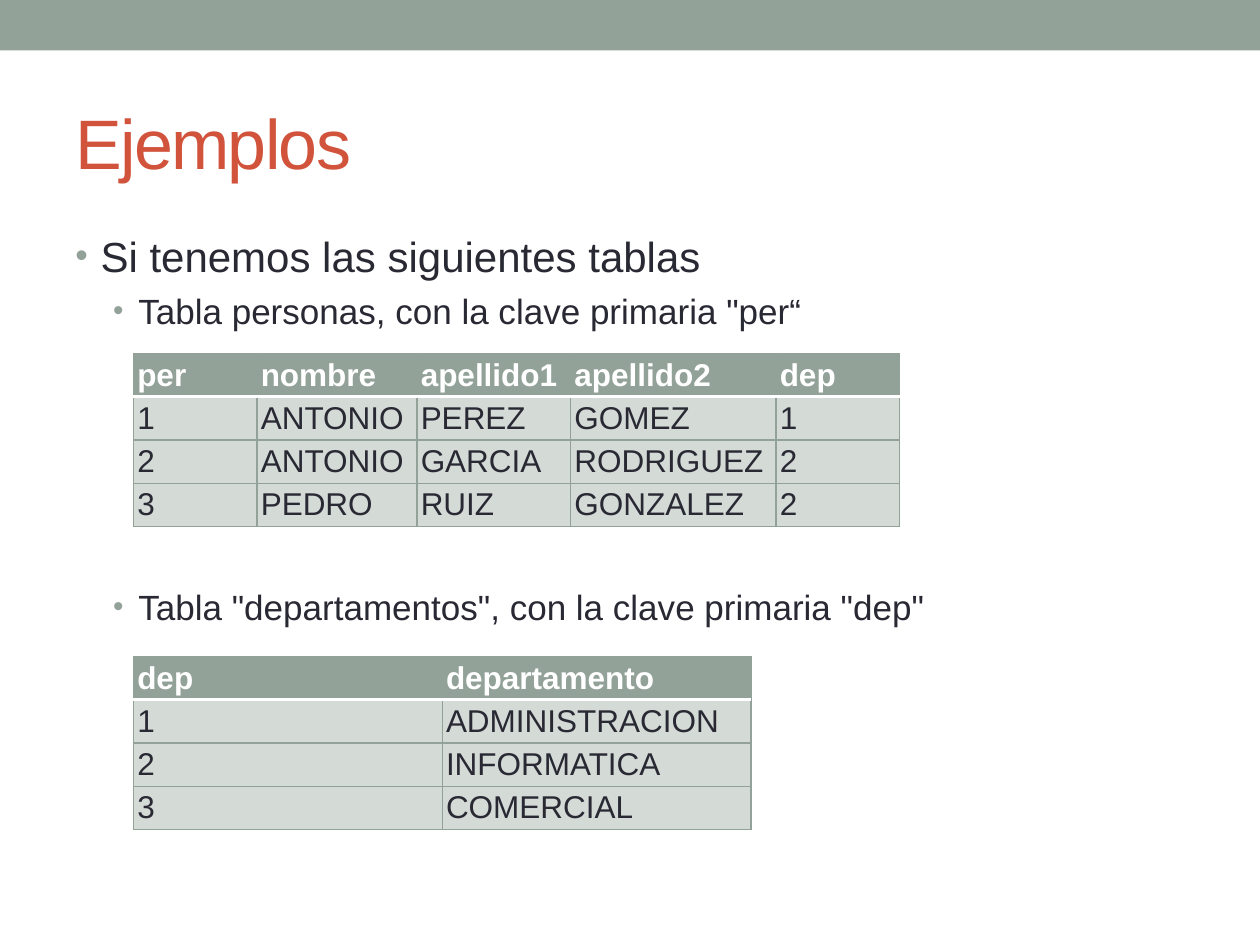
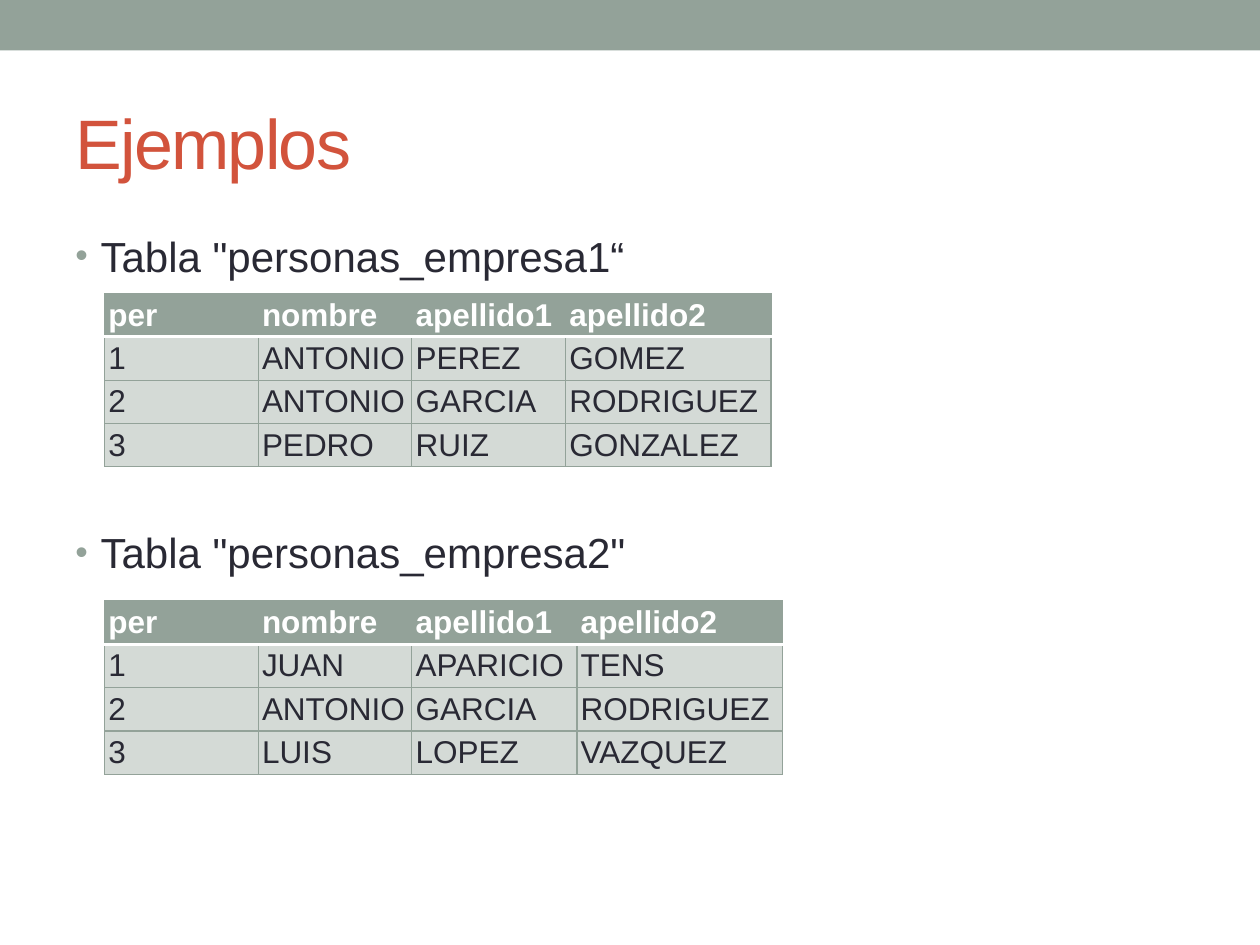
from dataclasses import dataclass

from lxml import etree
from pptx import Presentation, util as u
from pptx.dml.color import RGBColor
from pptx.enum import shapes, text
from pptx.oxml import ns


@dataclass(frozen=True)
class Theme:
    font: str = "Arial"
    sage: RGBColor = RGBColor.from_string("93A299")
    pale: RGBColor = RGBColor.from_string("D4DAD6")
    rust: RGBColor = RGBColor.from_string("D2533C")
    ink: RGBColor = RGBColor.from_string("292934")
    white: RGBColor = RGBColor.from_string("FFFFFF")
    title_size: int = 40
    bullet_sizes: tuple = (24, 20)
    cell_size: int = 18


theme = Theme()
deck = Presentation()
deck.slide_width, deck.slide_height = u.Inches(10), u.Inches(7.5)
CELL = deck.slide_width // 100  # square grid: 100 columns by 75 rows
MARGIN, TEXT_WIDTH = 5 * CELL, 90 * CELL
ROW_HEIGHT = u.Pt(24.75)


def style(para, size, color, bold=False):
    font = para.font
    font.name, font.size, font.bold = theme.font, u.Pt(size), bold
    font.color.rgb = color


def add_xml(parent, tag, **attributes):
    return etree.SubElement(parent, ns.qn(tag), attributes)


# Content: bullets are (level, points before, wording);
# tables are (left column, top row, column widths, rows), the first row being the header
pages = [
    dict(
        bullets=[
            (0, 0, "Si tenemos las siguientes tablas"),
            (1, 5, 'Tabla personas, con la clave primaria "per“'),
            (1, 145, 'Tabla "departamentos", con la clave primaria "dep"'),
        ],
        tables=[
            (10.6, 28.05, (9.8, 12.7, 12.2, 16.3, 9.8), [
                ("per", "nombre", "apellido1", "apellido2", "dep"),
                ("1", "ANTONIO", "PEREZ", "GOMEZ", "1"),
                ("2", "ANTONIO", "GARCIA", "RODRIGUEZ", "2"),
                ("3", "PEDRO", "RUIZ", "GONZALEZ", "2"),
            ]),
            (10.6, 52.1, (24.5, 24.5), [
                ("dep", "departamento"),
                ("1", "ADMINISTRACION"),
                ("2", "INFORMATICA"),
                ("3", "COMERCIAL"),
            ]),
        ],
    ),
    dict(
        bullets=[
            (0, 0, 'Tabla "personas_empresa1“'),
            (0, 140.4, 'Tabla "personas_empresa2"'),
        ],
        tables=[
            (8.3, 23.3, (12.2, 12.2, 12.2, 16.3), [
                ("per", "nombre", "apellido1", "apellido2"),
                ("1", "ANTONIO", "PEREZ", "GOMEZ"),
                ("2", "ANTONIO", "GARCIA", "RODRIGUEZ"),
                ("3", "PEDRO", "RUIZ", "GONZALEZ"),
            ]),
            (8.3, 47.7, (12.2, 12.2, 13.1, 16.3), [
                ("per", "nombre", "apellido1", "apellido2"),
                ("1", "JUAN", "APARICIO", "TENS"),
                ("2", "ANTONIO", "GARCIA", "RODRIGUEZ"),
                ("3", "LUIS", "LOPEZ", "VAZQUEZ"),
            ]),
        ],
    ),
]

for content in pages:
    page = deck.slides.add_slide(deck.slide_layouts[5])

    # Top band
    band = page.shapes.add_shape(shapes.MSO_SHAPE.RECTANGLE, 0, 0, deck.slide_width, 4 * CELL)
    band.shadow.inherit = False
    band.fill.solid()
    band.fill.fore_color.rgb = theme.sage
    band.line.fill.background()

    # Title
    title = page.shapes.title
    title.left, title.top = MARGIN, int(5.8 * CELL)
    title.width, title.height = TEXT_WIDTH, int(10.8 * CELL)
    frame = title.text_frame
    frame.text = "Ejemplos"
    frame.auto_size = text.MSO_AUTO_SIZE.NONE
    frame.vertical_anchor = text.MSO_ANCHOR.MIDDLE
    para = frame.paragraphs[0]
    para.alignment = text.PP_ALIGN.LEFT
    style(para, theme.title_size, theme.rust)
    para.runs[0]._r.get_or_add_rPr().set("spc", "-100")

    # Bullets
    box = page.shapes.add_textbox(MARGIN, int(17.8 * CELL), TEXT_WIDTH, 53 * CELL)
    frame = box.text_frame
    frame.word_wrap = True
    for index, (level, before, wording) in enumerate(content["bullets"]):
        para = frame.add_paragraph() if index else frame.paragraphs[0]
        para.text, para.level = wording, level
        para.alignment = text.PP_ALIGN.JUSTIFY
        props = para._p.get_or_add_pPr()
        props.set("marL", str((2 + 3 * level) * CELL))
        props.set("indent", str(-2 * CELL))
        add_xml(add_xml(props, "a:buClr"), "a:srgbClr", val=str(theme.sage))
        add_xml(props, "a:buSzPct", val="85000")
        add_xml(props, "a:buFont", typeface=theme.font)
        add_xml(props, "a:buChar", char="•")
        if before:
            para.space_before = u.Pt(before)
        style(para, theme.bullet_sizes[level], theme.ink)

    # Tables
    for left, top, widths, rows in content["tables"]:
        table = page.shapes.add_table(
            len(rows), len(widths), int(left * CELL), int(top * CELL),
            int(sum(widths) * CELL), len(rows) * ROW_HEIGHT).table
        table.horz_banding = False
        for column, width in zip(table.columns, widths):
            column.width = int(width * CELL)
        for r, values in enumerate(rows):
            table.rows[r].height = ROW_HEIGHT
            for c, value in enumerate(values):
                cell = table.cell(r, c)
                cell.text = value
                cell.margin_left = cell.margin_right = u.Inches(0.03)
                cell.margin_top = cell.margin_bottom = u.Inches(0.02)
                cell.vertical_anchor = text.MSO_ANCHOR.MIDDLE
                style(cell.text_frame.paragraphs[0], theme.cell_size,
                      theme.ink if r else theme.white, bold=r == 0)

                # White rule between header and body, thin sage lines elsewhere
                for side in "LRTB":
                    is_rule = (r, side) in ((0, "B"), (1, "T"))
                    line = add_xml(cell._tc.get_or_add_tcPr(), f"a:ln{side}",
                                   w=str(u.Pt(2.08 if is_rule else 0.75)))
                    color = theme.white if is_rule else theme.sage
                    add_xml(add_xml(line, "a:solidFill"), "a:srgbClr", val=str(color))
                cell.fill.solid()
                cell.fill.fore_color.rgb = theme.pale if r else theme.sage

deck.save("out.pptx")
